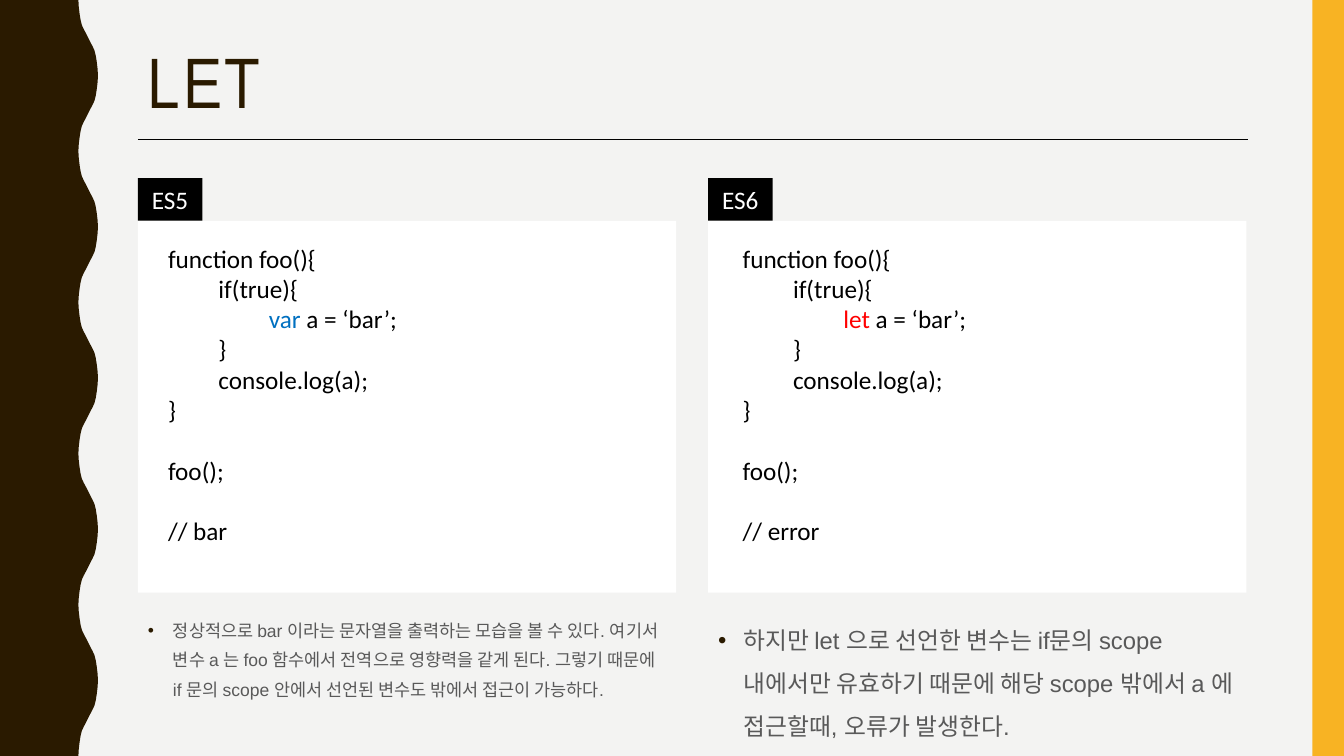
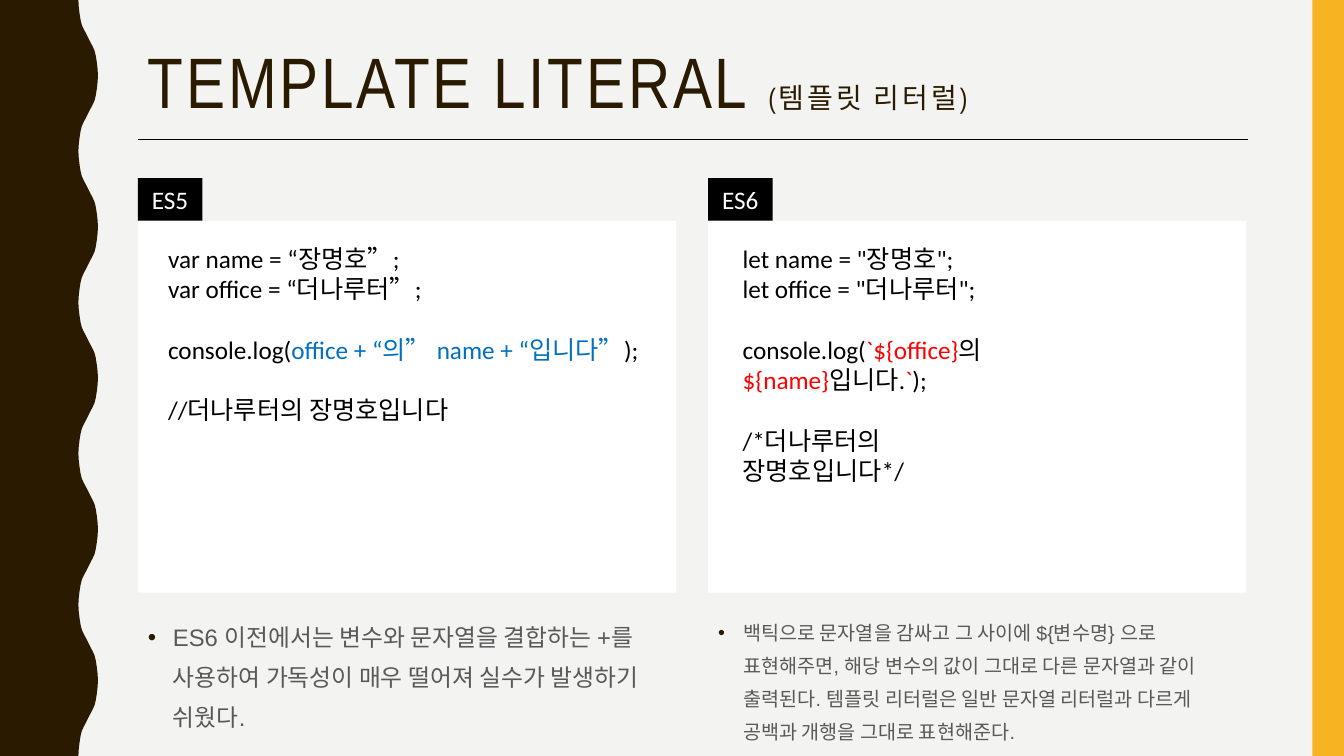
from dataclasses import dataclass

from lxml.etree import SubElement
from pptx import Presentation
from pptx.dml.color import RGBColor
from pptx.enum.shapes import MSO_CONNECTOR, MSO_SHAPE
from pptx.enum.text import MSO_ANCHOR, PP_ALIGN
from pptx.oxml import parse_xml
from pptx.oxml.ns import nsdecls, qn
from pptx.util import Pt


# Colours, fonts and type sizes
@dataclass(frozen=True)
class Theme:
    background: str = "F3F3F2"
    brown: str = "2A1A00"
    yellow: str = "F8B323"
    white: str = "FFFFFF"
    black: str = "000000"
    gray: str = "595959"
    title_font: str = "Arial Narrow"
    body_font: str = "Arial"
    code_font: str = "Calibri"
    title_size: float = 51
    subtitle_size: float = 20
    code_size: float = 18
    code_line: float = 21.8
    tab: float = 36


@dataclass(frozen=True)
class Column:
    label: str
    left: float
    code_left: float
    highlight: str


THEME = Theme()
WIDTH, HEIGHT = 960, 540
MARGIN = 98.5
COLUMN_WIDTH = 384.5
PANEL_TOP, PANEL_HEIGHT = 157.7, 265.7
LABEL_WIDTH, LABEL_HEIGHT = 46, 30.5
ES5 = Column("ES5", MARGIN, 113, "0070C0")
ES6 = Column("ES6", 505.8, 523.4, "FF0000")

# Half of one swing of the wavy edge, as (down, across) from its middle
SWING = [(27, 7), (22, 6.7), (17, 6.1), (12.6, 5.4), (9, 4.5), (6, 3.1), (3, 1.5)]
WAVE_MIDDLE, SWING_COUNT = 63, 10


class Deck:
    def __init__(self, theme):
        self.theme = theme
        self.presentation = Presentation()
        self.presentation.slide_width = Pt(WIDTH)
        self.presentation.slide_height = Pt(HEIGHT)
        fill = self.presentation.slide_master.background.fill
        fill.solid()
        fill.fore_color.rgb = RGBColor.from_string(theme.background)
        self.slide = None

    # Shared frame: wavy band, right band, title and rule
    def add_slide(self, title, subtitle=""):
        layout = self.presentation.slide_layouts[6]
        self.slide = self.presentation.slides.add_slide(layout)
        self.wave()
        self.rectangle(937.5, 0, WIDTH - 937.5, HEIGHT, self.theme.yellow)
        self.title(title, subtitle)
        self.rule(MARGIN, 99.4, 891.4)

    def paint(self, shape, color):
        shape.shadow.inherit = False
        shape.fill.solid()
        shape.fill.fore_color.rgb = RGBColor.from_string(color)
        shape.line.fill.background()

    def wave(self):
        half = [(-down, -across) for down, across in SWING]
        swing = half + [(0, 0)] + SWING[::-1]
        points = [(0, 0)]
        for index in range(SWING_COUNT):
            direction = 1 if index % 2 == 0 else -1
            points += [(WAVE_MIDDLE + direction * across, 27 + 54 * index + down)
                       for down, across in swing]
        points.append((0, HEIGHT))
        points = [(Pt(x), Pt(y)) for x, y in points]
        builder = self.slide.shapes.build_freeform(*points[0])
        builder.add_line_segments(points[1:], close=True)
        self.paint(builder.convert_to_shape(), self.theme.brown)

    def rectangle(self, left, top, width, height, color):
        shape = self.slide.shapes.add_shape(
            MSO_SHAPE.RECTANGLE, Pt(left), Pt(top), Pt(width), Pt(height))
        self.paint(shape, color)
        return shape

    def rule(self, left, top, right):
        line = self.slide.shapes.add_connector(
            MSO_CONNECTOR.STRAIGHT, Pt(left), Pt(top), Pt(right), Pt(top))
        line.line.color.rgb = RGBColor.from_string(self.theme.black)
        line.line.width = Pt(0.5)
        SubElement(line._element.spPr, qn("a:effectLst"))

    def text_frame(self, left, top, width, height):
        box = self.slide.shapes.add_textbox(Pt(left), Pt(top), Pt(width), Pt(height))
        box.text_frame.word_wrap = True
        return box.text_frame

    def style(self, font, name, size, color):
        font.name = name
        if size:
            font.size = Pt(size)
        font.color.rgb = RGBColor.from_string(color)

    def title(self, title, subtitle):
        theme = self.theme
        paragraph = self.text_frame(MARGIN, 30.2, 801, 64).paragraphs[0]
        paragraph.line_spacing = 0.9
        self.style(paragraph.font, theme.title_font, None, theme.brown)
        for text, size in ((title, theme.title_size), (subtitle, theme.subtitle_size)):
            if text:
                run = paragraph.add_run()
                run.text = text
                run.font.size = Pt(size)
                run._r.get_or_add_rPr().set("spc", "200")

    # White panel with a black label; bars in the code enclose highlights
    def code(self, column, source):
        theme = self.theme
        self.rectangle(column.left, PANEL_TOP, COLUMN_WIDTH, PANEL_HEIGHT, theme.white)
        self.label(column)
        frame = self.text_frame(column.code_left, 170, 350.6, 225)
        paragraph, gap = frame.paragraphs[0], 0
        for number, line in enumerate(source):
            if not line:
                gap += theme.code_line
                continue
            if number:
                paragraph = frame.add_paragraph()
            text = line.lstrip("\t")
            properties = paragraph._p.get_or_add_pPr()
            properties.set("marL", str(Pt(theme.tab * (len(line) - len(text)))))
            properties.set("indent", "0")
            paragraph.space_before = Pt(gap)
            gap = 0
            self.style(paragraph.font, theme.code_font, theme.code_size, theme.black)
            for index, part in enumerate(text.split("|")):
                if part:
                    run = paragraph.add_run()
                    run.text = part
                    if index % 2:
                        run.font.color.rgb = RGBColor.from_string(column.highlight)

    def label(self, column):
        shape = self.rectangle(column.left, PANEL_TOP - LABEL_HEIGHT,
                               LABEL_WIDTH, LABEL_HEIGHT, self.theme.black)
        frame = shape.text_frame
        frame.margin_left = frame.margin_right = 0
        frame.vertical_anchor = MSO_ANCHOR.MIDDLE
        paragraph = frame.paragraphs[0]
        paragraph.text = column.label
        paragraph.alignment = PP_ALIGN.CENTER
        self.style(paragraph.font, self.theme.code_font, self.theme.code_size,
                   self.theme.white)

    # Bulleted explanation under a panel
    def note(self, column, text, size, spacing=1.4):
        theme = self.theme
        frame = self.text_frame(column.left, 433.4, COLUMN_WIDTH, 105)
        paragraph = frame.paragraphs[0]
        paragraph.text = text
        paragraph.line_spacing = spacing
        paragraph.space_before = Pt(7)
        self.style(paragraph.font, theme.body_font, size, theme.gray)
        properties = paragraph._p.get_or_add_pPr()
        properties.set("marL", str(Pt(18)))
        properties.set("indent", str(-Pt(18)))
        defaults = properties.find(qn("a:defRPr"))
        for tag, content in (
                ("buClr", f'><a:srgbClr val="{theme.brown}"/></a:buClr>'),
                ("buFont", f' typeface="{theme.body_font}"/>'),
                ("buChar", ' char="•"/>')):
            defaults.addprevious(parse_xml(f'<a:{tag} {nsdecls("a")}{content}'))


def foo_code(declaration, result):
    return ["function foo(){", "\tif(true){", f"\t\t|{declaration}| a = ‘bar’;",
            "\t}", "\tconsole.log(a);", "}", "", "foo();", "", f"// {result}"]


def main():
    deck = Deck(THEME)

    # Let
    deck.add_slide("LET")
    deck.code(ES5, foo_code("var", "bar"))
    deck.code(ES6, foo_code("let", "error"))
    deck.note(ES5, "정상적으로 bar 이라는 문자열을 출력하는 모습을 볼 수 있다. "
              "여기서 변수 a 는 foo 함수에서 전역으로 영향력을 같게 된다. "
              "그렇기 때문에 if 문의 scope 안에서 선언된 변수도 밖에서 접근이 가능하다.", 12.5)
    deck.note(ES6, "하지만 let 으로 선언한 변수는 if문의 scope 내에서만 유효하기 때문에 "
              "해당 scope 밖에서 a 에 접근할때, 오류가 발생한다.", 17, 1.5)

    # Template literal
    deck.add_slide("TEMPLATE LITERAL ", "(템플릿 리터럴)")
    deck.code(ES5, ["var name = “장명호”;", "var office = “더나루터”;", "",
                    "console.log(|office + “의” name + “입니다”|);", "",
                    "//더나루터의 장명호입니다"])
    deck.code(ES6, ['let name = "장명호";', 'let office = "더나루터";', "",
                    "console.log(|`${office}|의", "|${name}|입니다.|`|);", "",
                    "/*더나루터의", "장명호입니다*/"])
    deck.note(ES5, "ES6 이전에서는 변수와 문자열을 결합하는 +를 사용하여 "
              "가독성이 매우 떨어져 실수가 발생하기 쉬웠다.", 17)
    deck.note(ES6, "백틱으로 문자열을 감싸고 그 사이에 ${변수명} 으로 표현해주면, "
              "해당 변수의 값이 그대로 다른 문자열과 같이 출력된다. "
              "템플릿 리터럴은 일반 문자열 리터럴과 다르게 공백과 개행을 그대로 표현해준다.", 14)

    deck.presentation.save("out.pptx")


if __name__ == "__main__":
    main()
